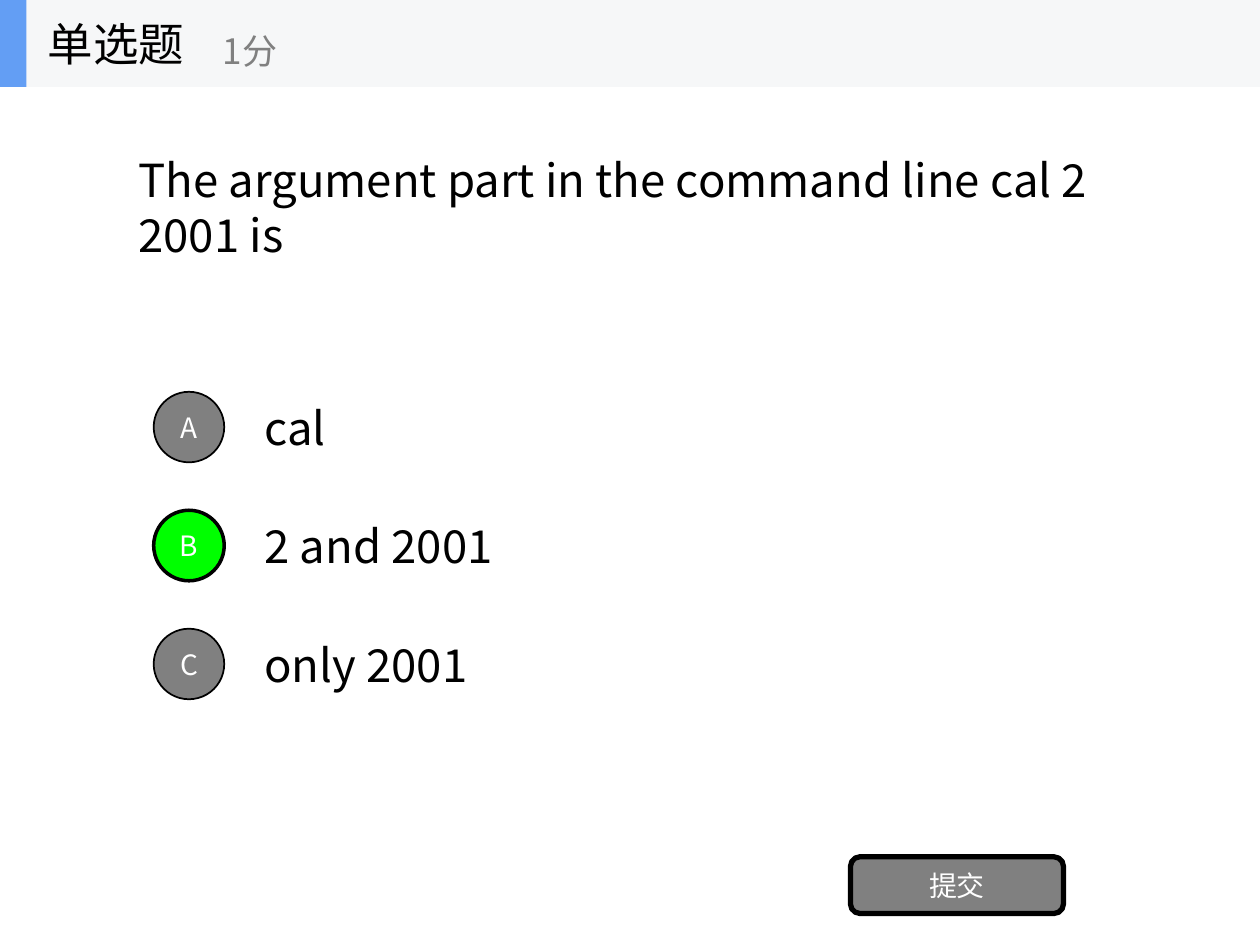
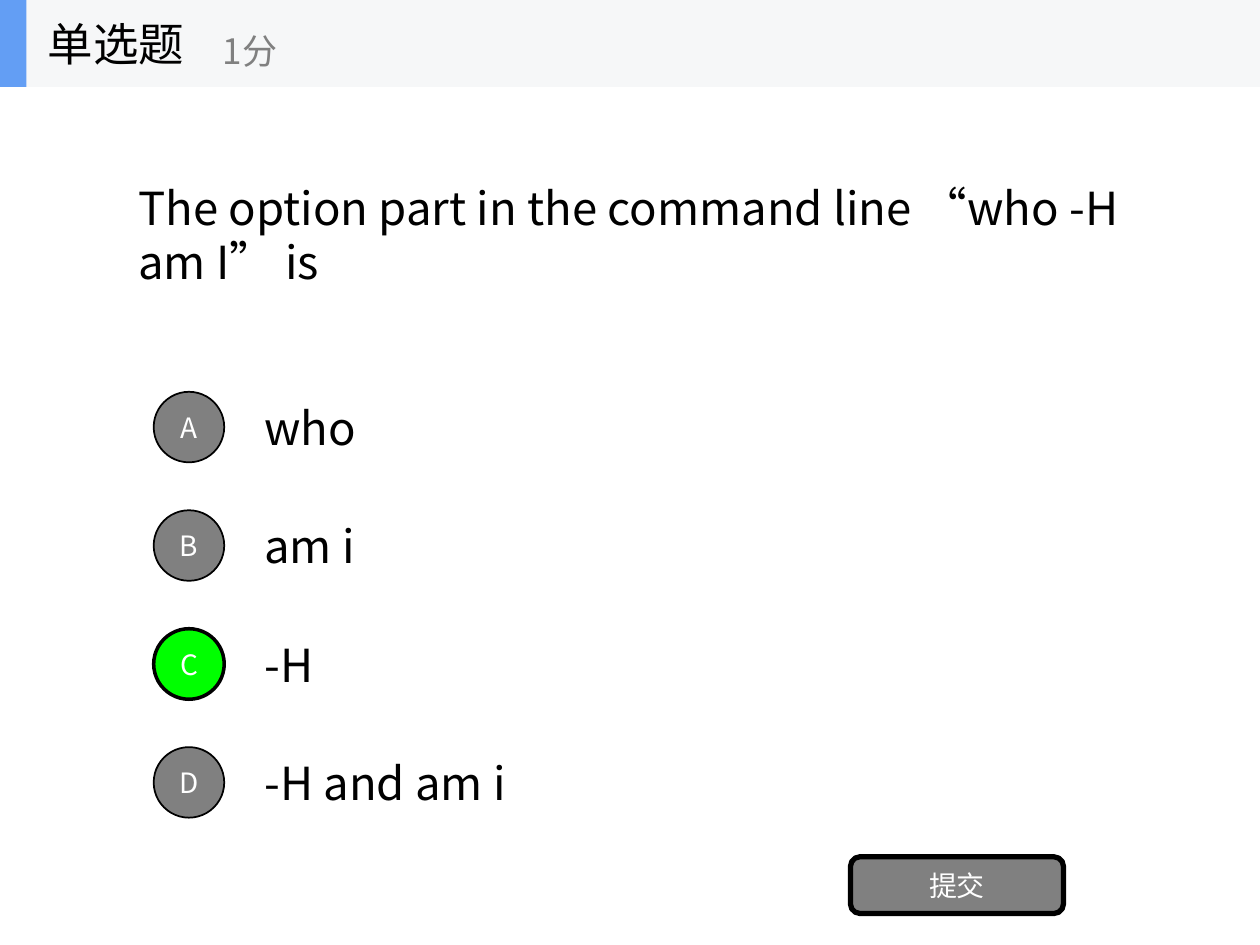
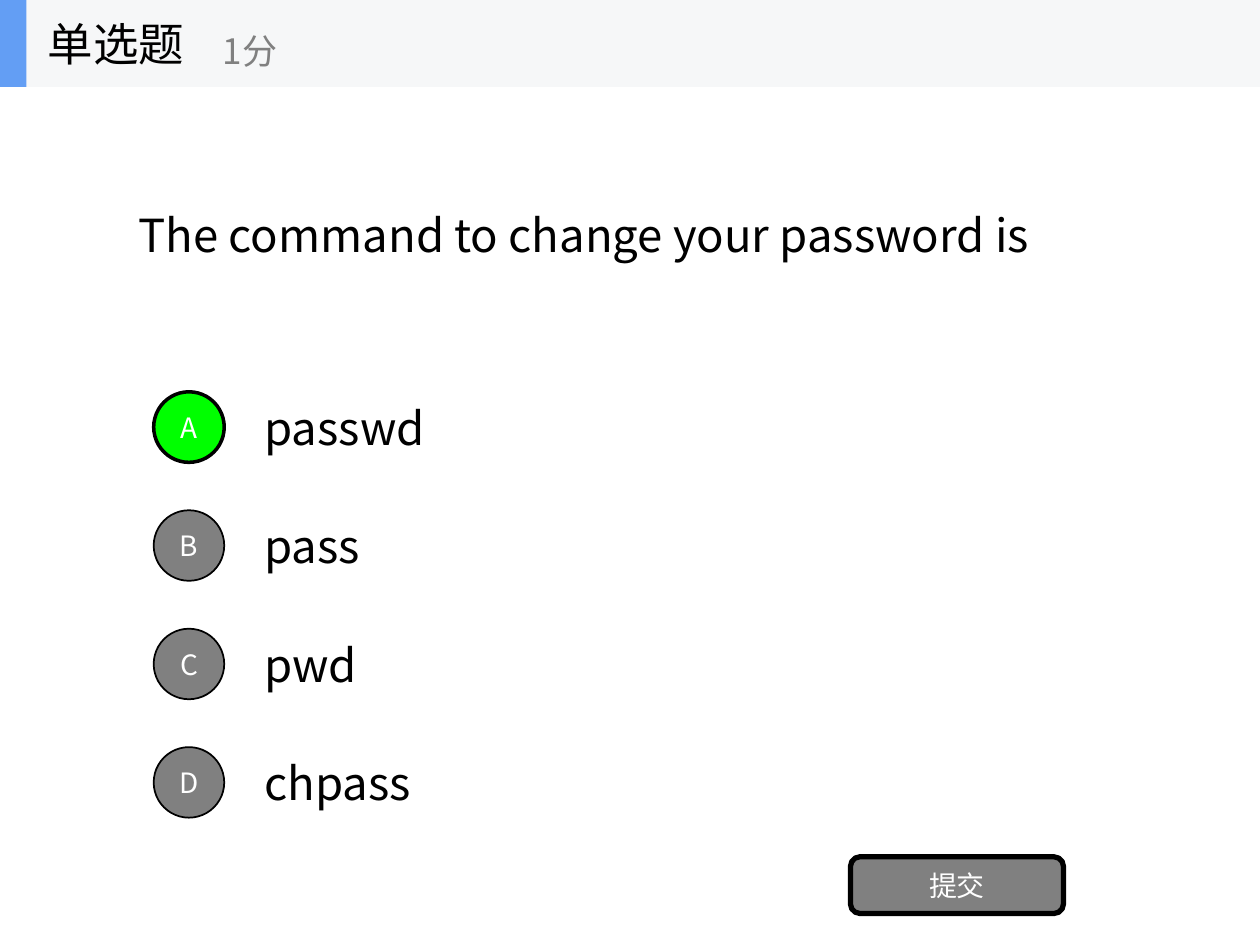
from dataclasses import dataclass

from lxml import etree
from pptx import Presentation
from pptx import util as u
from pptx.dml.color import RGBColor
from pptx.enum import shapes, text
from pptx.oxml import ns

COLORS = {
    "ink": "000000",
    "white": "FFFFFF",
    "gray": "808080",
    "correct": "00FF00",
    "band": "F6F7F8",
    "accent": "639EF4",
}
FONT = "Noto Sans CJK SC"
LEFT, CENTER = text.PP_ALIGN.LEFT, text.PP_ALIGN.CENTER
OVAL = shapes.MSO_SHAPE.OVAL
RECTANGLE = shapes.MSO_SHAPE.RECTANGLE
ROUNDED = shapes.MSO_SHAPE.ROUNDED_RECTANGLE
OPTION_TOP, OPTION_PITCH = 3.04, 0.94
BULLET_DROP = 0.07
BAND_HEIGHT = 0.69


@dataclass(frozen=True)
class Area:
    left: float
    top: float
    width: float
    height: float

    def lengths(self) -> list[u.Length]:
        return [u.Inches(side) for side in (self.left, self.top, self.width, self.height)]


@dataclass(frozen=True)
class Style:
    size: int
    color: str
    align: text.PP_ALIGN = LEFT


@dataclass(frozen=True)
class Question:
    prompt: str
    options: list[str]
    answer: int
    bottom_inset: float = 0.05


BODY = Style(26, "ink")
POINTS = Style(20, "gray")
LABEL = Style(16, "white", CENTER)

QUESTIONS = [
    Question(
        "The argument part in the command line cal 2 2001 is",
        ["cal", "2 and 2001", "only 2001"],
        answer=1,
        bottom_inset=0.49,
    ),
    Question(
        "The option part in the command line “who -H am I” is",
        ["who", "am i", "-H", "-H and am i"],
        answer=2,
    ),
    Question(
        "The command to change your password is",
        ["passwd", "pass", "pwd", "chpass"],
        answer=0,
    ),
]


def rgb(name: str) -> RGBColor:
    return RGBColor.from_string(COLORS[name])


def write(box, words: str, style: Style) -> None:
    frame = box.text_frame
    frame.word_wrap = True
    frame.vertical_anchor = text.MSO_ANCHOR.MIDDLE
    para = frame.paragraphs[0]
    para.text = words
    para.alignment = style.align
    para.line_spacing = 1.0
    font = para.font
    font.name = FONT
    font.size = u.Pt(style.size)
    font.color.rgb = rgb(style.color)
    defaults = para._p.pPr.find(ns.qn("a:defRPr"))
    etree.SubElement(defaults, ns.qn("a:ea"), typeface=FONT)


def add_text(parent, area: Area, words: str, style: Style):
    box = parent.shapes.add_textbox(*area.lengths())
    write(box, words, style)
    return box


def add_block(parent, kind, area: Area, fill: str, line_width: int = 0):
    block = parent.shapes.add_shape(kind, *area.lengths())
    block.shadow.inherit = False
    block.fill.solid()
    block.fill.fore_color.rgb = rgb(fill)
    if line_width:
        block.line.color.rgb = rgb("ink")
        block.line.width = u.Pt(line_width)
    else:
        block.line.fill.background()
    return block


def add_header(page) -> None:
    header = page.shapes.add_group_shape()
    add_block(header, RECTANGLE, Area(0, 0, 10, BAND_HEIGHT), "band")
    add_block(header, RECTANGLE, Area(0, 0, 0.21, BAND_HEIGHT), "accent")
    add_text(header, Area(0.28, 0, 2.08, BAND_HEIGHT), "单选题", BODY)
    add_text(header, Area(1.67, 0.12, 2.5, 0.56), "1分", POINTS)


def add_options(page, question: Question) -> None:
    tops = [OPTION_TOP + OPTION_PITCH * row for row in range(len(question.options))]
    for top, option in zip(tops, question.options):
        add_text(page, Area(2, top, 7, 0.7), option, BODY)
    for row, (top, letter) in enumerate(zip(tops, "ABCD")):
        fill, line_width = ("correct", 2) if row == question.answer else ("gray", 1)
        area = Area(1.22, top + BULLET_DROP, 0.56, 0.56)
        write(add_block(page, OVAL, area, fill, line_width), letter, LABEL)


def add_submit_button(page) -> None:
    button = add_block(page, ROUNDED, Area(6.75, 6.8, 1.69, 0.45), "gray", 3)
    write(button, "提交", LABEL)


def add_question(deck, question: Question) -> None:
    page = deck.slides.add_slide(deck.slide_layouts[6])
    prompt = add_text(page, Area(1, BAND_HEIGHT, 8, 2.34), question.prompt, BODY)
    prompt.text_frame.margin_bottom = u.Inches(question.bottom_inset)
    add_options(page, question)
    add_submit_button(page)
    add_header(page)


def main() -> None:
    deck = Presentation()
    deck.slide_width, deck.slide_height = u.Inches(10), u.Inches(7.5)
    for question in QUESTIONS:
        add_question(deck, question)
    deck.save("out.pptx")


if __name__ == "__main__":
    main()
